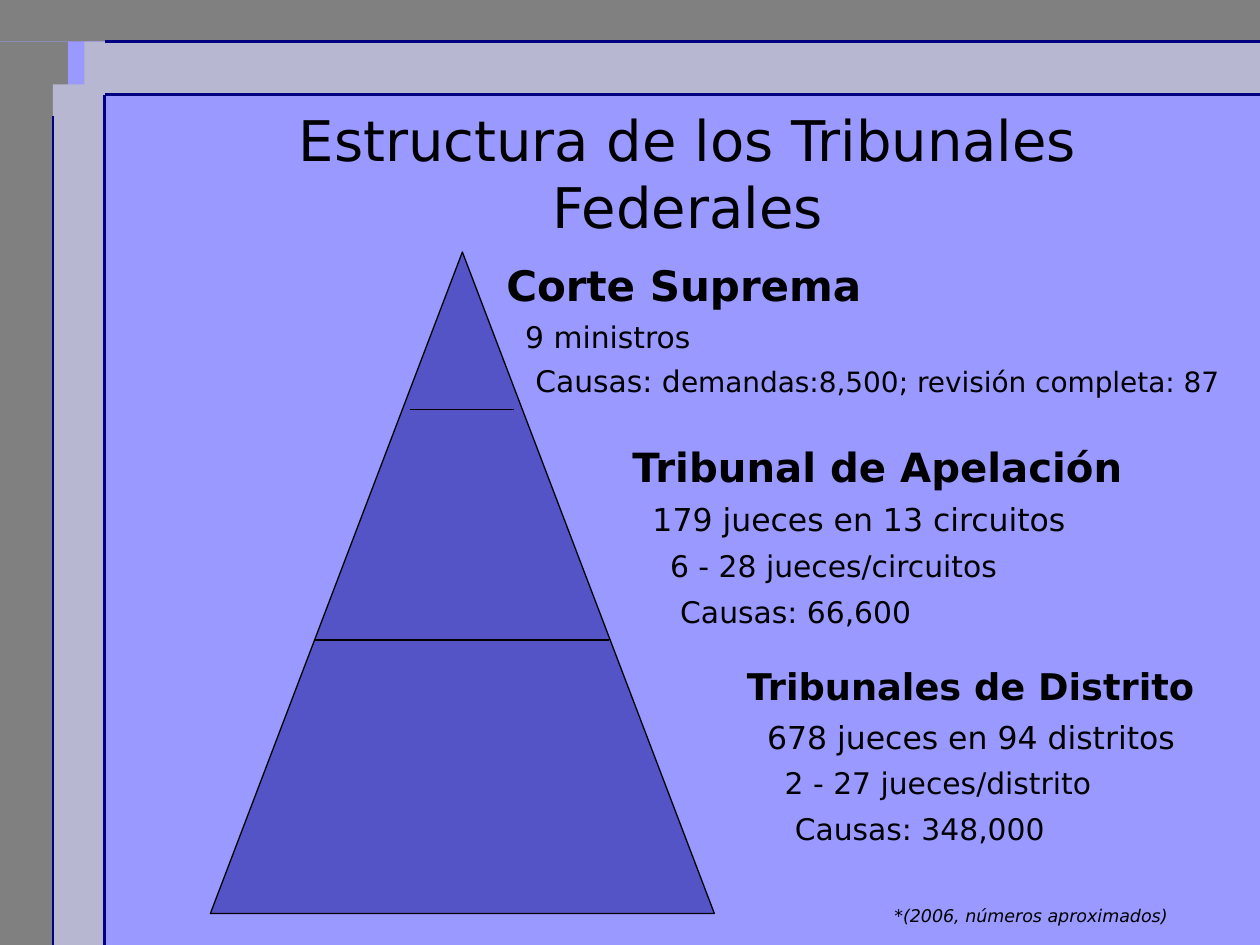
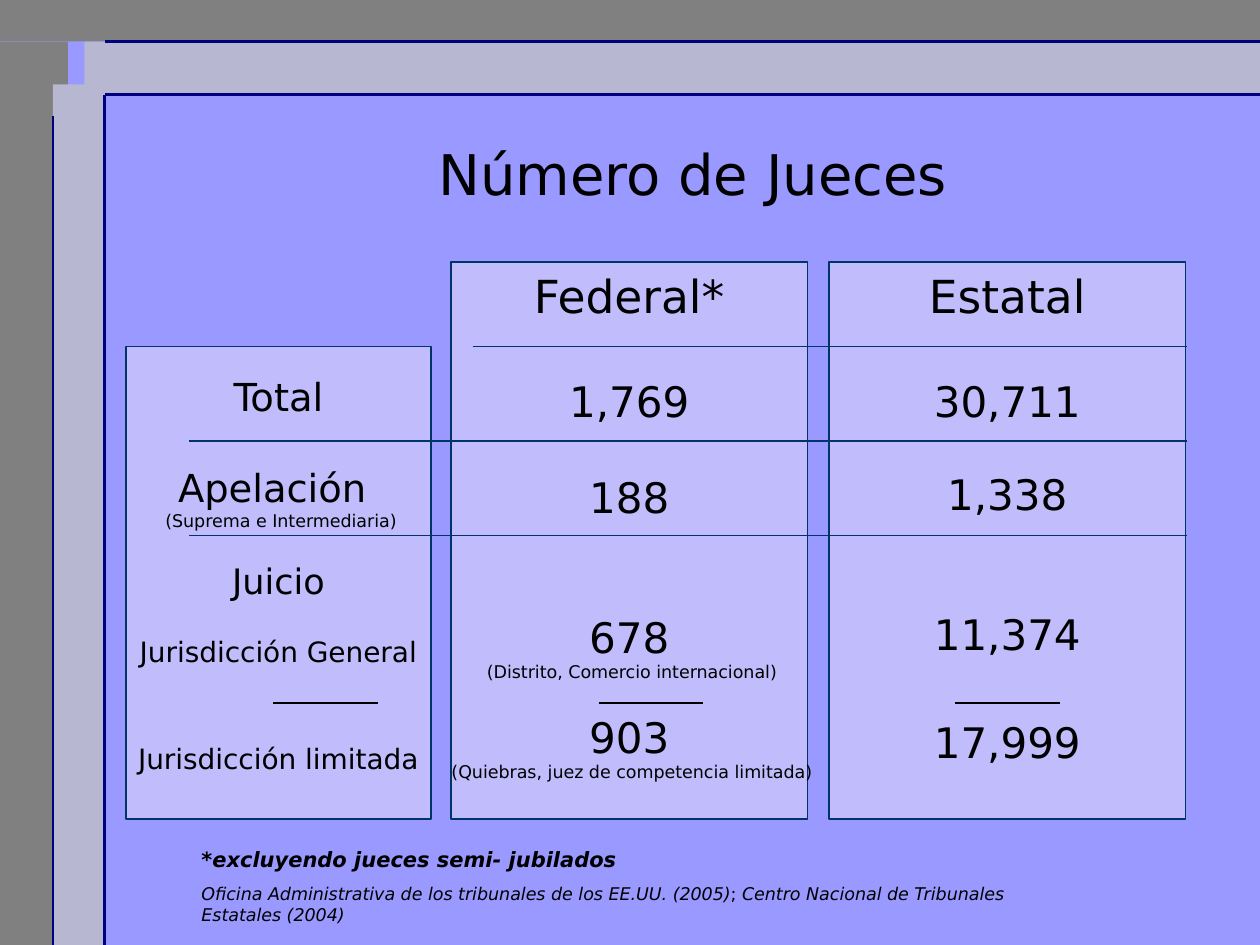
from dataclasses import dataclass
from itertools import pairwise

from lxml.etree import SubElement
from pptx import Presentation
from pptx.dml.color import RGBColor
from pptx.enum.shapes import MSO_CONNECTOR, MSO_SHAPE
from pptx.enum.text import MSO_ANCHOR, MSO_AUTO_SIZE, PP_ALIGN
from pptx.oxml.ns import qn
from pptx.presentation import Presentation as Deck
from pptx.shapes.autoshape import Shape
from pptx.shapes.connector import Connector
from pptx.slide import Slide
from pptx.text.text import TextFrame
from pptx.util import Inches, Pt


@dataclass(frozen=True)
class Theme:
    font: str = "DejaVu Sans"
    background: str = "9999FF"
    gray_band: str = "808080"
    lilac_band: str = "B8B7D1"
    navy: str = "000080"
    pyramid: str = "5454C6"
    column: str = "C1BCFC"
    column_line: str = "003366"
    ink: str = "000000"
    title_size: int = 32
    header_size: int = 26
    figure_size: int = 24
    label_size: int = 22
    trial_size: int = 20
    fact_size: int = 17
    sublabel_size: int = 16
    note_size: int = 10
    thin: float = 0.75
    frame: float = 1.5


THEME = Theme()


@dataclass(frozen=True)
class Area:
    left: float
    top: float
    width: float
    height: float


@dataclass(frozen=True)
class Rule:
    left: float
    top: float
    right: float
    bottom: float


@dataclass(frozen=True)
class Span:
    text: str
    size: float
    bold: bool = False
    italic: bool = False


@dataclass(frozen=True)
class Para:
    spans: tuple[Span, ...]
    before: float = 0
    left: float = 0
    right: float = 0


@dataclass(frozen=True)
class Block:
    area: Area
    paras: tuple[Para, ...]
    line_spacing: float = 1.0
    top_inset: float = 0.05


def para(text: str, size: float, before: float = 0, left: float = 0,
         right: float = 0, bold: bool = False, italic: bool = False) -> Para:
    return Para((Span(text, size, bold, italic),), before, left, right)


BANDS = (
    (Area(0, 0.33, 0.54, 7.17), THEME.gray_band),
    (Area(0, 0, 10, 0.33), THEME.gray_band),
    (Area(0.42, 0.67, 0.42, 6.83), THEME.lilac_band),
    (Area(0.67, 0.33, 9.33, 0.42), THEME.lilac_band),
)
FRAME_RULES = (
    Rule(10, 0.75, 0.83, 0.75),
    Rule(0.83, 7.5, 0.83, 0.75),
    Rule(0.42, 7.5, 0.42, 0.92),
    Rule(10, 0.33, 0.83, 0.33),
)

COURTS = (
    Block(Area(3.92, 2.1, 6.33, 1.11), (
        para("Corte Suprema", 24, bold=True),
        para("9 ministros", THEME.fact_size, 10.6, 0.15),
        Para((Span("Causas: d", THEME.fact_size),
              Span("emandas:8,500; revisión completa: 87", 16)), 10, 0.23),
    ), 0.75),
    Block(Area(4.92, 3.55, 4.25, 1.49), (
        para("Tribunal de Apelación", 23, bold=True),
        para("179 jueces en 13 circuitos", 18, 11.2, 0.16),
        para("6 - 28 jueces/circuitos", THEME.fact_size, 10.6, 0.3),
        para("Causas: 66,600", THEME.fact_size, 10.6, 0.38),
    ), 0.75),
    Block(Area(5.83, 5.3, 3.83, 1.47), (
        para("Tribunales de Distrito", 21, bold=True),
        para("678 jueces en 94 distritos", 18, 11.2, 0.16),
        para("2 - 27 jueces/distrito", THEME.fact_size, 10.6, 0.3),
        para("Causas: 348,000", THEME.fact_size, 10.6, 0.38),
    ), 0.75),
)
YEAR_NOTE = Block(Area(7, 7.13, 2.67, 0.27), (
    para("*(2006, números aproximados)", THEME.note_size, italic=True),
))

JUDGE_COLUMNS = (
    Block(Area(3.58, 2.08, 2.83, 4.42), (
        para("Federal*", THEME.header_size),
        para("1,769", THEME.figure_size, 30.3),
        para("188", THEME.figure_size, 25.6),
        para("678", THEME.figure_size, 51.2),
        para("(Distrito, Comercio internacional)", THEME.note_size, left=0.04),
        para("903", THEME.figure_size, 16.3),
        para("(Quiebras, juez de competencia limitada)", THEME.note_size, left=0.04),
    )),
    Block(Area(6.58, 2.08, 2.83, 4.42), (
        para("Estatal", THEME.header_size),
        para("30,711", THEME.figure_size, 30.3),
        para("1,338", THEME.figure_size, 24.4),
        para("11,374", THEME.figure_size, 51.2),
        para("17,999", THEME.figure_size, 32.6),
    )),
    Block(Area(1, 2.75, 2.42, 3.75), (
        para("Total", THEME.label_size),
        para("Apelación", THEME.label_size, 25.6, right=0.1),
        para("(Suprema e Intermediaria)", THEME.note_size, left=0.04),
        para("Juicio", THEME.trial_size, 16.3),
        para("Jurisdicción General", THEME.sublabel_size, 18.6),
        para("Jurisdicción limitada", THEME.sublabel_size, 41.9),
    ), top_inset=0.21),
)
SOURCE_NOTE = Block(Area(1.5, 6.67, 7.08, 0.56), (
    para("*excluyendo jueces semi- jubilados", 12, bold=True, italic=True),
    Para((
        Span("Oficina Administrativa de los tribunales de los EE.UU. (2005)",
             THEME.note_size, italic=True),
        Span("; ", THEME.note_size),
        Span("Centro Nacional de Tribunales Estatales (2004)",
             THEME.note_size, italic=True),
    ), 6.2),
))
COLUMN_STOPS = (1.5, 3.75, 6.58, 9.42)
HEADER_RULE_TOP = 2.75
ROW_HEIGHT = 0.75
DIVIDER_LEFTS = (2.17, 4.75, 7.58)
DIVIDER_TOP = 5.58
DIVIDER_WIDTH = 0.83


def place(area: Area) -> tuple[Inches, Inches, Inches, Inches]:
    return (Inches(area.left), Inches(area.top),
            Inches(area.width), Inches(area.height))


def write(frame: TextFrame, block: Block, align: PP_ALIGN) -> None:
    frame.margin_top = Inches(block.top_inset)
    frame.vertical_anchor = MSO_ANCHOR.TOP
    frame.text = "\n".join(item.spans[0].text for item in block.paras)
    for paragraph, item in zip(frame.paragraphs, block.paras):
        paragraph.alignment = align
        paragraph.line_spacing = block.line_spacing
        paragraph.space_before = Pt(item.before)
        properties = paragraph._p.get_or_add_pPr()
        properties.set("marL", str(Inches(item.left)))
        properties.set("marR", str(Inches(item.right)))
        for span in item.spans[1:]:
            paragraph.add_run().text = span.text
        for run, span in zip(paragraph.runs, item.spans):
            run.font.name = THEME.font
            run.font.size = Pt(span.size)
            run.font.bold = span.bold
            run.font.italic = span.italic
            run.font.color.rgb = RGBColor.from_string(THEME.ink)


def add_text(page: Slide, block: Block) -> None:
    frame = page.shapes.add_textbox(*place(block.area)).text_frame
    frame.word_wrap = True
    frame.auto_size = MSO_AUTO_SIZE.SHAPE_TO_FIT_TEXT
    write(frame, block, PP_ALIGN.LEFT)


def add_figure(page: Slide, kind: MSO_SHAPE, area: Area, fill: str,
               line: str | None = None) -> Shape:
    shape = page.shapes.add_shape(kind, *place(area))
    shape.shadow.inherit = False
    shape.fill.solid()
    shape.fill.fore_color.rgb = RGBColor.from_string(fill)
    if line:
        shape.line.color.rgb = RGBColor.from_string(line)
        shape.line.width = Pt(THEME.thin)
    else:
        shape.line.fill.background()
    return shape


def add_rule(page: Slide, rule: Rule, color: str,
             width: float = THEME.thin) -> Connector:
    connector = page.shapes.add_connector(
        MSO_CONNECTOR.STRAIGHT, Inches(rule.left), Inches(rule.top),
        Inches(rule.right), Inches(rule.bottom))
    connector.line.color.rgb = RGBColor.from_string(color)
    connector.line.width = Pt(width)
    SubElement(connector._element.spPr, qn("a:effectLst"))
    return connector


def add_column(page: Slide, block: Block) -> None:
    column = add_figure(page, MSO_SHAPE.FLOWCHART_PROCESS, block.area,
                        THEME.column, THEME.column_line)
    column.text_frame.word_wrap = False
    write(column.text_frame, block, PP_ALIGN.CENTER)


def add_page(deck: Deck, title: str, area: Area) -> Slide:
    page = deck.slides.add_slide(deck.slide_layouts.get_by_name("Title Only"))
    box = page.shapes.title
    box.left, box.top, box.width, box.height = place(area)
    write(box.text_frame, Block(area, (para(title, THEME.title_size),)),
          PP_ALIGN.CENTER)
    box.text_frame.word_wrap = True
    box.text_frame.auto_size = MSO_AUTO_SIZE.NONE
    box.text_frame.vertical_anchor = MSO_ANCHOR.MIDDLE
    return page


def move_frame_to_master(deck: Deck, page: Slide) -> None:
    master = deck.slide_master
    master.background.fill.solid()
    master.background.fill.fore_color.rgb = RGBColor.from_string(THEME.background)
    parts = [add_figure(page, MSO_SHAPE.RECTANGLE, area, fill)
             for area, fill in BANDS]
    parts += [add_rule(page, rule, THEME.navy, THEME.frame)
              for rule in FRAME_RULES]
    for number, part in enumerate(parts, start=100):
        part._element.xpath(".//p:cNvPr")[0].set("id", str(number))
        master.shapes._spTree.append(part._element)


def draw_pyramid(page: Slide) -> None:
    add_figure(page, MSO_SHAPE.ISOSCELES_TRIANGLE, Area(1.67, 2, 4, 5.25),
               THEME.pyramid, THEME.ink)
    for level in (Rule(3.25, 3.25, 4.08, 3.25), Rule(2.5, 5.08, 4.83, 5.08)):
        add_rule(page, level, THEME.ink)
    for block in (*COURTS, YEAR_NOTE):
        add_text(page, block)


def draw_judges(page: Slide) -> None:
    for block in JUDGE_COLUMNS:
        add_column(page, block)
    add_rule(page, Rule(COLUMN_STOPS[1], HEADER_RULE_TOP,
                        COLUMN_STOPS[-1], HEADER_RULE_TOP), THEME.column_line)
    for row in (1, 2):
        top = HEADER_RULE_TOP + row * ROW_HEIGHT
        for left, right in pairwise(COLUMN_STOPS):
            add_rule(page, Rule(left, top, right, top), THEME.column_line)
    for left in DIVIDER_LEFTS:
        add_rule(page, Rule(left, DIVIDER_TOP, left + DIVIDER_WIDTH, DIVIDER_TOP),
                 THEME.ink)
    add_text(page, SOURCE_NOTE)


def main() -> None:
    deck = Presentation()
    deck.slide_width, deck.slide_height = Inches(10), Inches(7.5)
    courts_page = add_page(deck, "Estructura de los Tribunales Federales",
                           Area(1.67, 1.08, 7.58, 0.58))
    move_frame_to_master(deck, courts_page)
    draw_pyramid(courts_page)
    draw_judges(add_page(deck, "Número de Jueces", Area(2.5, 1.08, 6, 0.58)))
    deck.save("out.pptx")


if __name__ == "__main__":
    main()
